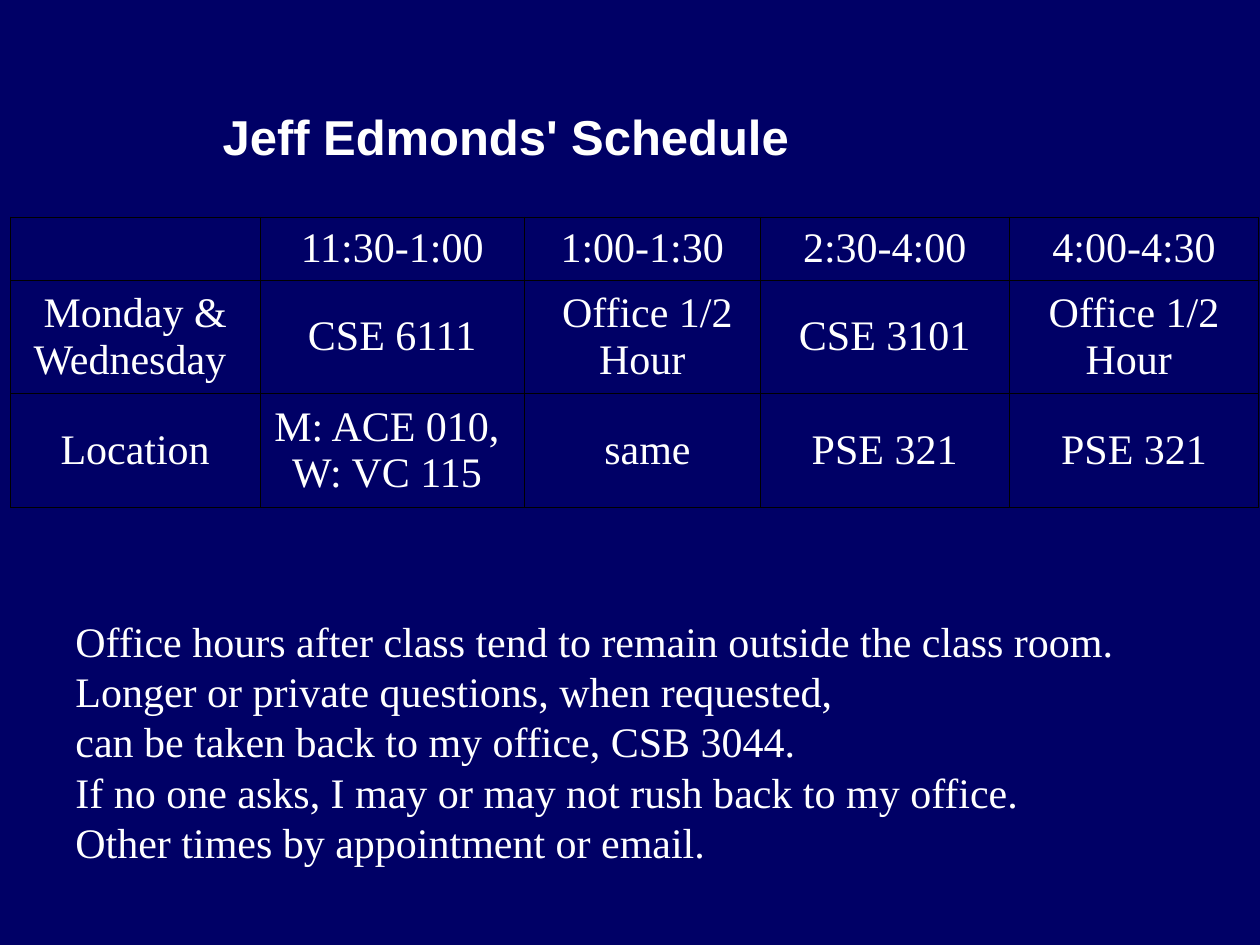
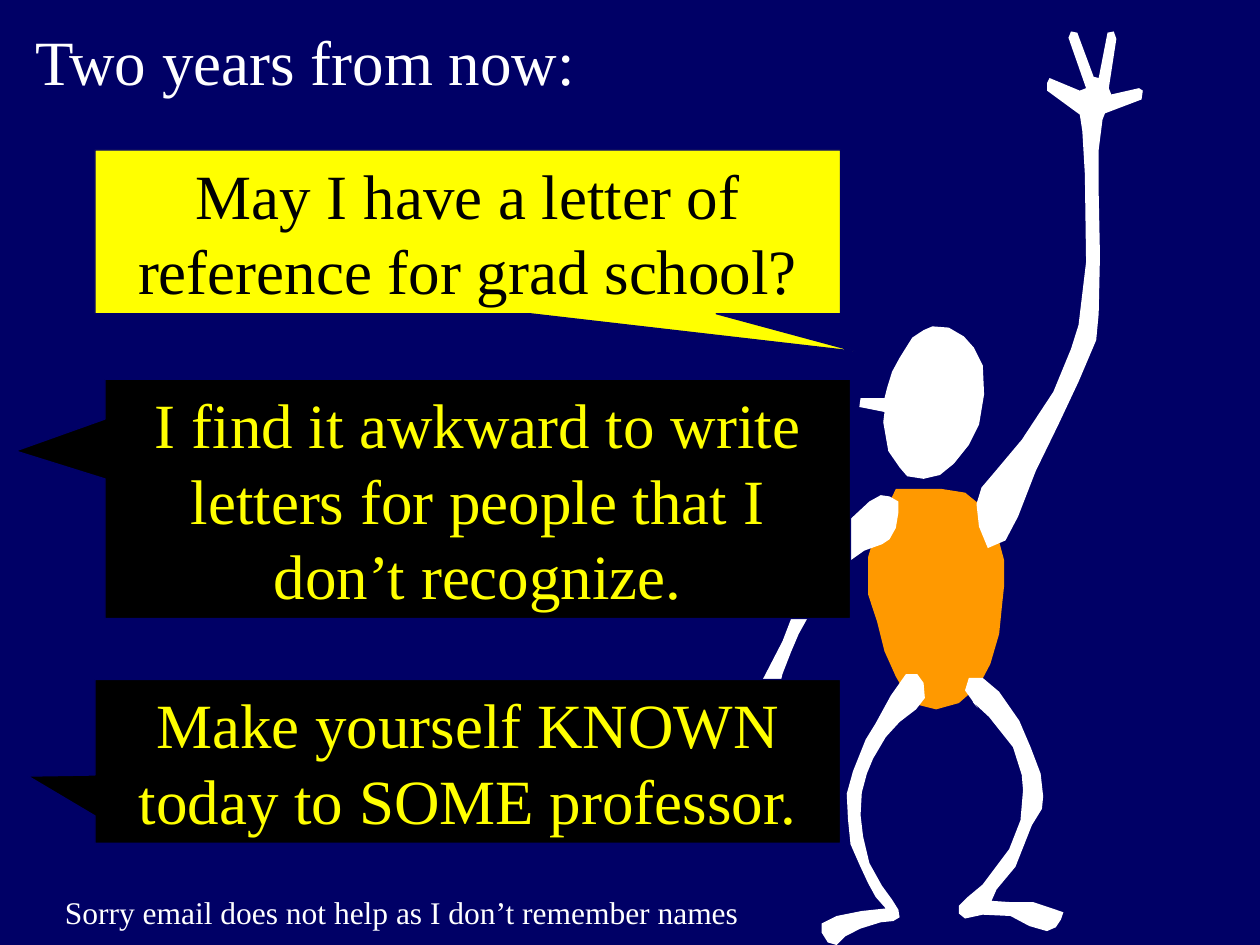
import pptx
import pptx.dml.color
import pptx.enum.shapes
import pptx.enum.text
import pptx.oxml
import pptx.oxml.ns
import pptx.util

Pt = pptx.util.Pt
RGBColor = pptx.dml.color.RGBColor
Align = pptx.enum.text.PP_ALIGN
Anchor = pptx.enum.text.MSO_ANCHOR

NAVY = RGBColor(0x00, 0x00, 0x66)
WHITE = RGBColor(0xFF, 0xFF, 0xFF)
BLACK = RGBColor(0x00, 0x00, 0x00)
YELLOW = RGBColor(0xFF, 0xFF, 0x00)
ORANGE = RGBColor(0xFF, 0x99, 0x00)

SERIF = "Times New Roman"
SANS = "Arial"
LINE_HEIGHT = 1.2          # line pitch relative to the font size
TABLE_LINE_HEIGHT = 1.11
OUTLINE_UNIT = Pt(0.72)    # outlines are given in hundredths of an inch

SCHEDULE = [
    ["", "11:30-1:00", "1:00-1:30", "2:30-4:00", "4:00-4:30"],
    ["Monday & Wednesday ", "CSE 6111", " Office 1/2 Hour", "CSE 3101",
     "Office 1/2 Hour "],
    ["Location", "M: ACE 010, \vW: VC 115 ", " same", "PSE 321", "PSE 321"],
]
COLUMN_WIDTHS = [142.5, 151.2, 134.6, 142.5, 142.5]
ROW_HEIGHTS = [36, 64.8, 64.8]

OFFICE_HOURS = [
    "Office hours after class tend to remain outside the class room.",
    "Longer or private questions, when requested,",
    "can be taken back to my office, CSB 3044.",
    "If no one asks, I may or may not rush back to my office.",
    "Other times by appointment or email.",
]

# Body parts of the student
TORSO = [
    (730, 388), (747, 388), (766, 391), (777, 400), (788, 418), (793, 430),
    (797, 445), (797, 464), (795, 483), (793, 503), (786, 527), (777, 544),
    (761, 558), (743, 563), (723, 558), (711, 537), (702, 517), (696, 493),
    (689, 472), (689, 442), (695, 422), (702, 407), (711, 388),
]
HEAD = [
    (740, 259), (753, 260), (765, 267), (773, 276), (780, 290), (781, 313),
    (777, 337), (769, 353), (757, 368), (746, 377), (733, 380), (720, 378),
    (714, 371), (705, 358), (701, 335), (702, 327), (682, 323), (683, 316),
    (702, 316), (704, 308), (708, 295), (714, 284), (724, 268), (733, 262),
]
RIGHT_LEG = [
    (776, 562), (766, 548), (769, 538), (780, 538), (793, 549), (809, 572),
    (818, 593), (826, 614), (828, 632), (827, 642), (819, 655), (806, 688),
    (791, 706), (787, 715), (802, 716), (820, 716), (844, 724), (842, 730),
    (838, 736), (831, 739), (817, 735), (802, 727), (780, 726), (766, 729),
    (761, 725), (761, 719), (768, 712), (780, 702), (801, 674), (810, 651),
    (812, 627), (811, 615), (804, 593), (785, 569), (772, 557),
]
LEFT_LEG = [
    (695, 574), (707, 552), (719, 535), (728, 535), (733, 542), (734, 554),
    (727, 563), (714, 573), (703, 585), (693, 602), (688, 614), (684, 629),
    (683, 647), (685, 664), (690, 685), (700, 703), (708, 714), (713, 722),
    (714, 728), (709, 731), (699, 732), (683, 737), (671, 743), (664, 750),
    (657, 748), (652, 740), (652, 733), (664, 727), (684, 723), (703, 721),
    (695, 712), (689, 701), (682, 686), (675, 670), (673, 650), (672, 630),
    (677, 612), (687, 587),
]
LOWERED_ARM = [
    (675, 412), (690, 398), (699, 393), (706, 394), (713, 398), (713, 407),
    (711, 419), (706, 428), (700, 432), (686, 437), (669, 449), (651, 469),
    (644, 485), (634, 503), (628, 517), (621, 535), (618, 548), (621, 562),
    (627, 572), (630, 576), (628, 579), (626, 580), (615, 563), (612, 564),
    (615, 586), (611, 588), (609, 585), (607, 564), (603, 564), (603, 585),
    (600, 592), (596, 588), (600, 555), (598, 553), (588, 555), (577, 553),
    (575, 548), (583, 548), (594, 548), (605, 540), (621, 509), (631, 483),
    (640, 464), (651, 448), (663, 430), (670, 418),
]
RAISED_ARM = [
    (777, 418), (775, 400), (779, 387), (790, 374), (811, 349), (836, 311),
    (850, 277), (856, 258), (862, 208), (861, 138), (859, 104), (857, 91),
    (831, 72), (831, 66), (833, 62), (857, 72), (862, 70), (848, 30),
    (850, 25), (855, 26), (868, 61), (872, 62), (879, 26), (884, 25),
    (886, 31), (880, 70), (882, 75), (904, 70), (907, 72), (906, 79),
    (877, 90), (875, 95), (872, 119), (872, 153), (873, 203), (872, 249),
    (870, 270), (856, 303), (840, 337), (822, 374), (808, 410), (798, 429),
    (784, 435),
]


def write_text(frame, lines, size, color=WHITE, font=SERIF, bold=False,
               align=Align.LEFT, line_height=LINE_HEIGHT):
    """Fill a text frame with one paragraph per line."""
    frame.text = "\n".join(lines)
    for para in frame.paragraphs:
        para.alignment = align
        para.line_spacing = Pt(round(size * line_height, 1))
        para.space_before = Pt(0)
        for span in para.runs:
            span.font.name = font
            span.font.size = Pt(size)
            span.font.bold = bold
            span.font.color.rgb = color


def set_frame(frame, anchor, wrap=True):
    frame.auto_size = pptx.enum.text.MSO_AUTO_SIZE.NONE
    frame.word_wrap = wrap
    frame.vertical_anchor = anchor


def add_page(deck, title, bounds, size, anchor, **style):
    """Add a title-only page and place its title."""
    page = deck.slides.add_slide(deck.slide_layouts[5])
    box = page.shapes.title
    box.left, box.top, box.width, box.height = map(Pt, bounds)
    set_frame(box.text_frame, anchor)
    write_text(box.text_frame, [title], size, **style)
    return page


def add_note(page, lines, bounds, size):
    box = page.shapes.add_textbox(*map(Pt, bounds))
    set_frame(box.text_frame, Anchor.TOP, wrap=False)
    write_text(box.text_frame, lines, size)


def add_borders(cell, color, width):
    properties = cell._tc.get_or_add_tcPr()
    for position, side in enumerate(("lnL", "lnR", "lnT", "lnB")):
        properties.insert(position, pptx.oxml.parse_xml(
            f'<a:{side} {pptx.oxml.ns.nsdecls("a")} w="{Pt(width)}">'
            f'<a:solidFill><a:srgbClr val="{color}"/></a:solidFill></a:{side}>'))


def add_schedule(page, left, top):
    frame = page.shapes.add_table(
        len(ROW_HEIGHTS), len(COLUMN_WIDTHS), Pt(left), Pt(top),
        Pt(sum(COLUMN_WIDTHS)), Pt(sum(ROW_HEIGHTS)))
    table = frame.table
    table.first_row = table.horz_banding = False
    for column, width in zip(table.columns, COLUMN_WIDTHS):
        column.width = Pt(width)
    for row, height, entries in zip(table.rows, ROW_HEIGHTS, SCHEDULE):
        row.height = Pt(height)
        for cell, entry in zip(row.cells, entries):
            cell.fill.background()
            cell.vertical_anchor = Anchor.MIDDLE
            write_text(cell.text_frame, [entry], 24, align=Align.CENTER,
                       line_height=TABLE_LINE_HEIGHT)
            add_borders(cell, BLACK, 0.34)


def add_outline(page, points, color):
    builder = page.shapes.build_freeform(*points[0], scale=OUTLINE_UNIT)
    builder.add_line_segments(points[1:], close=True)
    shape = builder.convert_to_shape()
    shape.shadow.inherit = False
    shape.fill.solid()
    shape.fill.fore_color.rgb = color
    shape.line.fill.background()


def add_speech(page, words, left, top, line_count, tip, fill, color):
    """Add a speech callout whose height follows its number of lines."""
    height = line_count * 36 * LINE_HEIGHT + 7.2
    shape = page.shapes.add_shape(
        pptx.enum.shapes.MSO_SHAPE.RECTANGULAR_CALLOUT,
        Pt(left), Pt(top), Pt(426), Pt(height))
    shape.adjustments[0], shape.adjustments[1] = tip
    shape.shadow.inherit = False
    shape.fill.solid()
    shape.fill.fore_color.rgb = fill
    shape.line.color.rgb = NAVY
    shape.line.width = Pt(0.75)
    set_frame(shape.text_frame, Anchor.MIDDLE)
    write_text(shape.text_frame, [words], 36, color, align=Align.CENTER)


def build_schedule_page(deck):
    page = add_page(deck, "Jeff Edmonds' Schedule", (120, 57, 477, 41), 28,
                    Anchor.MIDDLE, font=SANS, bold=True)
    add_schedule(page, 6, 124)
    add_note(page, OFFICE_HOURS, (36, 348, 614, 152), 24)


def build_reference_page(deck):
    page = add_page(deck, "Two years from now:", (13, 9.5, 340, 50.4), 36,
                    Anchor.TOP)
    # Student, behind the callouts
    add_outline(page, TORSO, ORANGE)
    for part in (HEAD, RIGHT_LEG, LEFT_LEG, LOWERED_ARM):
        add_outline(page, part, WHITE)
    # Dialogue
    add_speech(page, "May I have a letter of reference for grad school?",
               54.3, 85.7, 2, (0.52, 0.73), YELLOW, BLACK)
    add_speech(page, "I find it awkward to write letters for people that I "
               "don’t recognize.", 60, 216.7, 3, (-0.62, -0.2), BLACK, YELLOW)
    add_speech(page, "Make yourself KNOWN today to SOME professor.",
               54.3, 388.3, 2, (-0.59, 0.09), BLACK, YELLOW)
    # Raised arm, in front
    add_outline(page, RAISED_ARM, WHITE)
    add_note(page, ["Sorry email does not help as I don’t remember names"],
             (30, 507, 400, 29), 18)


def main():
    deck = pptx.Presentation()
    deck.slide_width, deck.slide_height = Pt(720), Pt(540)
    background = deck.slide_master.background.fill
    background.solid()
    background.fore_color.rgb = NAVY
    build_schedule_page(deck)
    build_reference_page(deck)
    deck.save("out.pptx")


if __name__ == "__main__":
    main()
